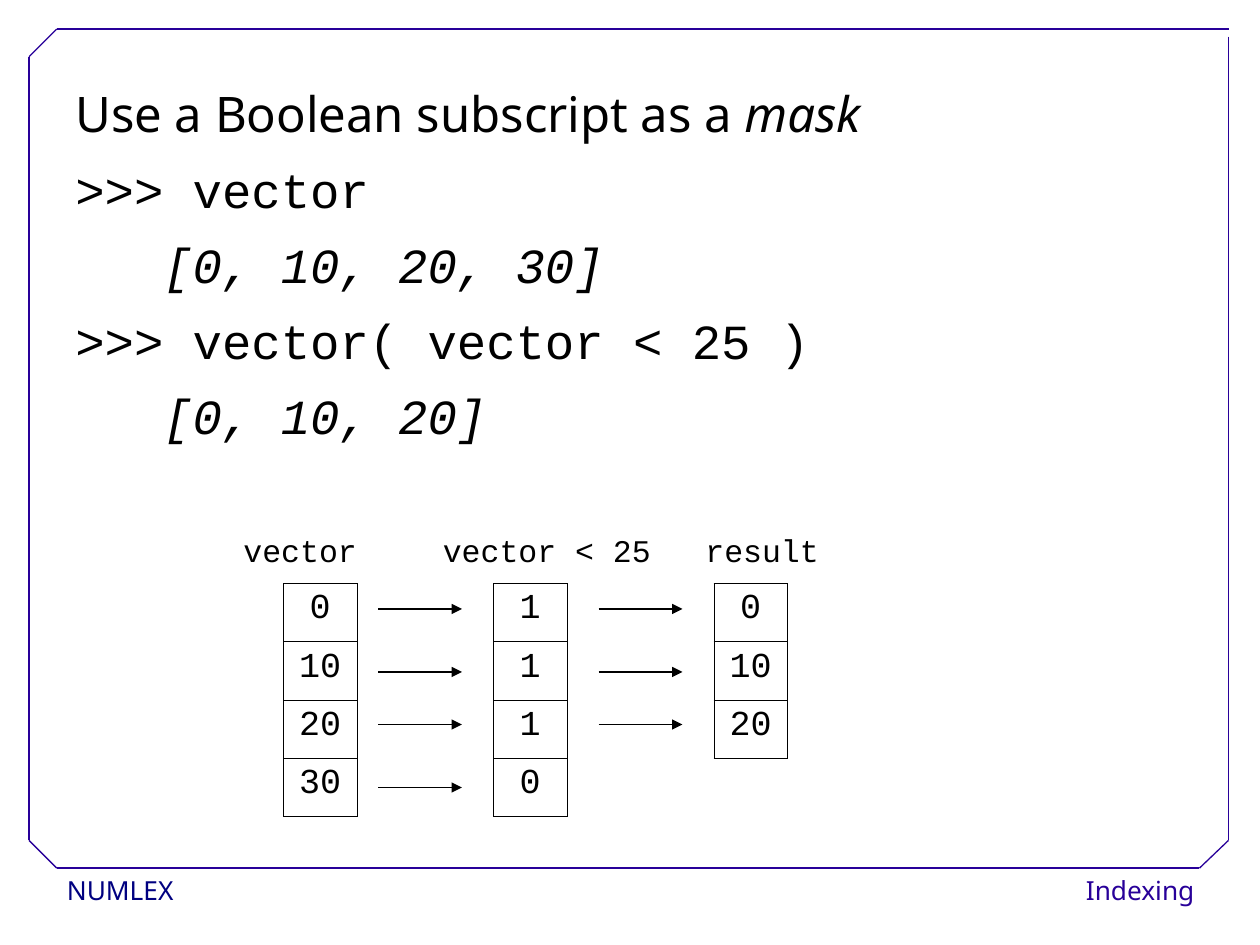
import pptx
import pptx.util
import pptx.dml.color
import pptx.enum.shapes
import pptx.enum.text
import pptx.oxml
import pptx.oxml.ns

COLORS = {"ink": "000000", "paper": "FFFFFF", "frame": "280099", "course": "000080"}
SANS, MONO = "Noto Sans", "Courier New"
ALIGN = pptx.enum.text.PP_ALIGN
UNIT = 1 / 12  # grid step in inches
ROW_HEIGHT, COLUMN_WIDTH = 0.463, 7 * UNIT
TABLE_TOP = 4.63

# label, label column, label width, table column, values
VECTORS = [
    ("vector", 22, 14, 27, ["0", "10", "20", "30"]),
    ("vector < 25", 41, 24, 47, ["1", "1", "1", "0"]),
    ("result", 66, 17, 68, ["0", "10", "20"]),
]
ARROW_ROWS = [58, 64, 69, 75]
ARROW_COLUMNS = [(36, 4), (57, 3)]  # start column, number of arrows
ARROW_LENGTH = 8

BODY = [
    [("Use a Boolean subscript as a ", SANS, False), ("mask", SANS, True)],
    [(">>> vector", MONO, False)],
    [("   [0, 10, 20, 30]", MONO, True)],
    [(">>> vector( vector < 25 )", MONO, False)],
    [("   [0, 10, 20]", MONO, True)],
]


def inches(*lengths):
    return [pptx.util.Inches(length) for length in lengths]


def color(name):
    return pptx.dml.color.RGBColor.from_string(COLORS[name])


def add_span(para, text, size, font, color_name="ink", italic=False):
    span = para.add_run()
    span.text = text
    span.font.size = pptx.util.Pt(size)
    span.font.name = font
    span.font.italic = italic
    span.font.color.rgb = color(color_name)


def add_box(page, left, top, width, height):
    box = page.shapes.add_textbox(*inches(left, top, width, height))
    box.text_frame.word_wrap = True
    return box


def add_line(page, start, end, color_name, arrow=False):
    line = page.shapes.add_connector(
        pptx.enum.shapes.MSO_CONNECTOR.STRAIGHT, *inches(*start, *end))
    line.line.color.rgb = color(color_name)
    line.line.width = pptx.util.Pt(0.75)
    if arrow:
        outline = line.line._get_or_add_ln()
        outline.append(pptx.oxml.parse_xml(
            f'<a:tailEnd {pptx.oxml.ns.nsdecls("a")} type="triangle"/>'))
    line._element.spPr.append(pptx.oxml.parse_xml(
        f'<a:effectLst {pptx.oxml.ns.nsdecls("a")}/>'))


def add_frame(page):
    """Draw the border with three cut corners; the top right stays open."""
    left, inner_left, inner_right, right = 0.23, 0.45, 9.52, 9.75
    top, inner_top, inner_bottom, bottom = 0.23, 0.45, 6.67, 6.89
    corners = [
        (right, 0.29), (right, inner_bottom), (inner_right, bottom),
        (inner_left, bottom), (left, inner_bottom), (left, inner_top),
        (inner_left, top), (right, top),
    ]
    for start, end in zip(corners, corners[1:]):
        add_line(page, start, end, "frame")


def add_footer(page, text, left, width, color_name, align):
    box = add_box(page, left, 6.89, width, 0.37)
    box.fill.solid()
    box.fill.fore_color.rgb = color("paper")
    frame = box.text_frame
    frame.margin_left, frame.margin_right, frame.margin_top, frame.margin_bottom = inches(
        0.09, 0.09, 0.04, 0.04)
    para = frame.paragraphs[0]
    para.alignment = align
    para.line_spacing = 1.02
    add_span(para, text, 15, SANS, color_name)


def add_body(page):
    frame = add_box(page, 0.5, 0.67, 9, 6.08).text_frame
    for index, spans in enumerate(BODY):
        para = frame.add_paragraph() if index else frame.paragraphs[0]
        para.line_spacing = 0.9
        para.space_after = pptx.util.Pt(12.9)
        properties = para._p.get_or_add_pPr()
        hang = pptx.util.Inches(0.34)
        properties.set("marL", str(hang))
        properties.set("indent", str(-hang))
        for text, font, italic in spans:
            add_span(para, text, 28, font, italic=italic)


def add_cell_borders(cell):
    properties = cell._tc.get_or_add_tcPr()
    for index, side in enumerate("LRTB"):
        properties.insert(index, pptx.oxml.parse_xml(
            f'<a:ln{side} {pptx.oxml.ns.nsdecls("a")} w="{pptx.util.Pt(0.45)}">'
            f'<a:solidFill><a:srgbClr val="{COLORS["ink"]}"/></a:solidFill></a:ln{side}>'))


def add_vector(page, label, label_column, label_width, column, values):
    box = add_box(page, label_column * UNIT, 50 * UNIT, label_width * UNIT, 0.4)
    add_span(box.text_frame.paragraphs[0], label, 18, MONO)
    table = page.shapes.add_table(len(values), 1, *inches(
        column * UNIT, TABLE_TOP, COLUMN_WIDTH, ROW_HEIGHT * len(values))).table
    table.first_row = table.horz_banding = False
    for row, value in enumerate(values):
        cell = table.cell(row, 0)
        cell.fill.background()
        add_cell_borders(cell)
        para = cell.text_frame.paragraphs[0]
        para.alignment = ALIGN.CENTER
        para.line_spacing = 0.93
        add_span(para, value, 20, MONO)


def main():
    deck = pptx.Presentation()
    deck.slide_width, deck.slide_height = inches(10, 7.5)
    page = deck.slides.add_slide(deck.slide_layouts[6])
    add_footer(page, "NUMLEX", 0.44, 1.95, "course", ALIGN.LEFT)
    add_footer(page, "Indexing", 8.3, 1.27, "frame", ALIGN.RIGHT)
    add_frame(page)
    add_body(page)
    for vector in VECTORS:
        add_vector(page, *vector)
    for column, count in ARROW_COLUMNS:
        for row in ARROW_ROWS[:count]:
            add_line(page, (column * UNIT, row * UNIT),
                     ((column + ARROW_LENGTH) * UNIT, row * UNIT), "ink", arrow=True)
    deck.save("out.pptx")


if __name__ == "__main__":
    main()
